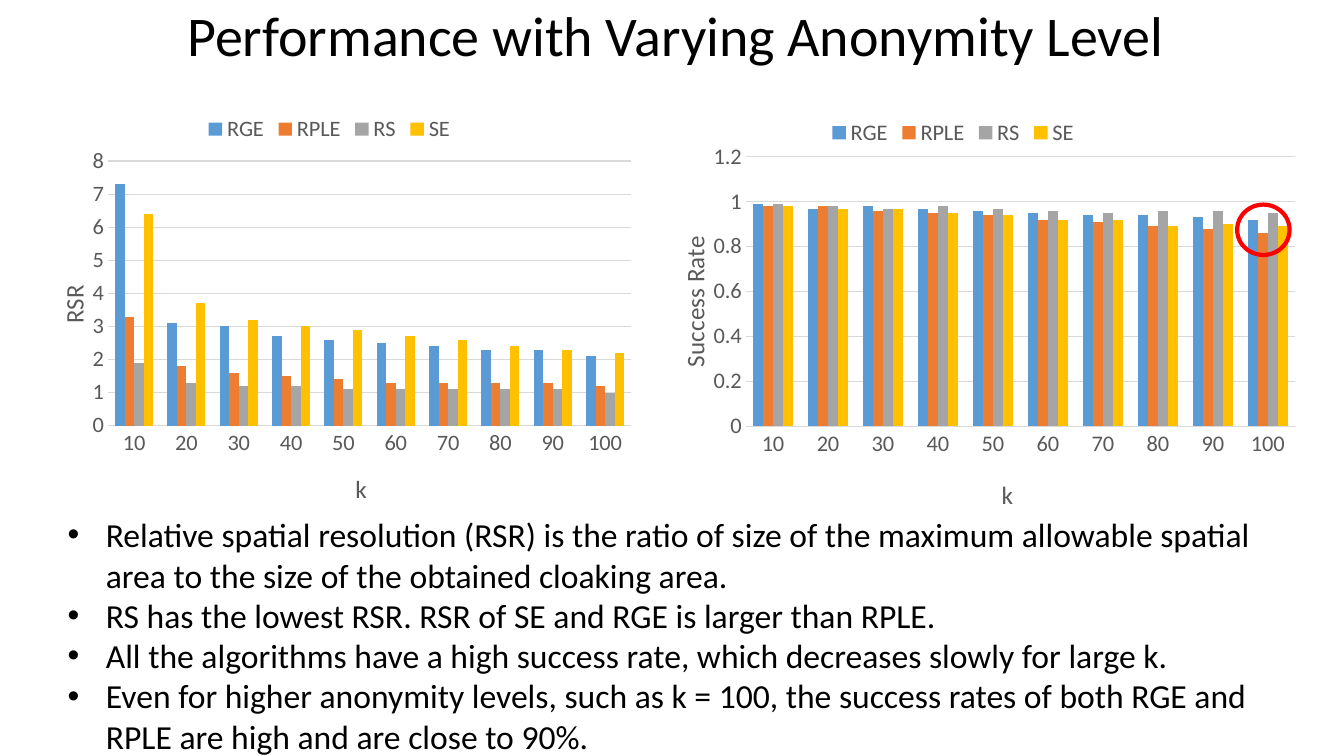
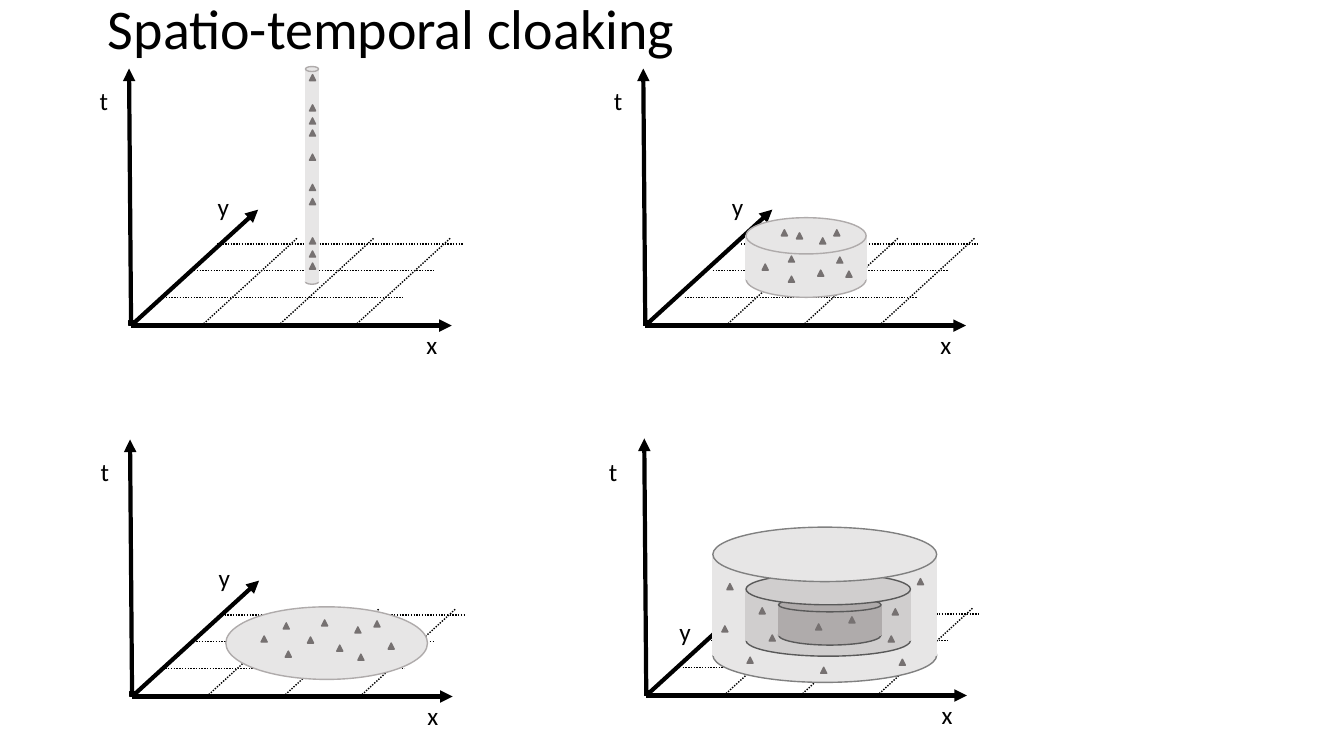
from dataclasses import dataclass

from lxml.etree import SubElement
from pptx import Presentation
from pptx.chart.data import CategoryChartData
from pptx.dml.color import RGBColor
from pptx.enum.chart import XL_CHART_TYPE, XL_LEGEND_POSITION, XL_TICK_MARK
from pptx.enum.dml import MSO_LINE
from pptx.enum.shapes import MSO_CONNECTOR, MSO_SHAPE
from pptx.enum.text import MSO_ANCHOR, MSO_AUTO_SIZE, PP_ALIGN
from pptx.oxml import parse_xml
from pptx.oxml.ns import nsdecls, qn
from pptx.util import Inches, Pt

# The grid: square cells, 133.3 columns by 75 rows
COLUMNS, ROWS = 133.3, 75
CELL = 0.1


def cells(count):
    return Inches(count * CELL)


@dataclass(frozen=True)
class Theme:
    font: str = "Calibri"
    ink: str = "000000"
    chart_text: str = "595959"
    rule: str = "D9D9D9"
    alert: str = "FF0000"
    marker: str = "767171"
    light: str = "E7E6E6"
    middle: str = "D0CECE"
    dark: str = "AFABAB"
    outline: str = "808080"
    inner_outline: str = "595959"
    series: tuple = ("5B9BD5", "ED7D31", "A5A5A5", "FFC000")
    title_size: float = 40
    body_size: float = 24
    label_size: float = 18
    tick_size: float = 16
    chart_size: float = 10
    thin: float = 1
    thick: float = 3
    hairline: float = 0.75


class Deck:
    """Holds the style and the current slide."""

    def __init__(self, theme):
        self.theme = theme
        self.presentation = Presentation()
        self.presentation.slide_width = cells(COLUMNS)
        self.presentation.slide_height = cells(ROWS)
        self.slide = None

    def new_slide(self, layout_name):
        layout = self.presentation.slide_layouts.get_by_name(layout_name)
        self.slide = self.presentation.slides.add_slide(layout)

    # Text
    def style_font(self, font, size, color):
        font.name, font.size, font.bold = self.theme.font, Pt(size), False
        font.color.rgb = RGBColor.from_string(color)

    def add_text(self, paragraph, text, size, color=None):
        run = paragraph.add_run()
        run.text = text
        self.style_font(run.font, size, color or self.theme.ink)

    def fit(self, shape, box):
        shape.left, shape.top, shape.width, shape.height = map(cells, box)
        shape.text_frame.auto_size = MSO_AUTO_SIZE.NONE
        shape.text_frame.word_wrap = True
        return shape.text_frame

    def title(self, text, box, alignment, anchor):
        frame = self.fit(self.slide.shapes.title, box)
        frame.vertical_anchor = anchor
        paragraph = frame.paragraphs[0]
        paragraph.alignment, paragraph.line_spacing = alignment, 0.9
        self.add_text(paragraph, text, self.theme.title_size)

    def bullets(self, items, box, indent=3.8):
        frame = self.fit(self.slide.placeholders[1], box)
        frame.vertical_anchor = MSO_ANCHOR.TOP
        for index, item in enumerate(items):
            paragraph = frame.add_paragraph() if index else frame.paragraphs[0]
            properties = paragraph._p.get_or_add_pPr()
            properties.set("marL", str(cells(indent)))
            properties.set("indent", str(-cells(indent)))
            SubElement(properties, qn("a:buFont")).set("typeface", "Arial")
            SubElement(properties, qn("a:buChar")).set("char", "•")
            paragraph.space_before = Pt(0)
            self.add_text(paragraph, item, self.theme.body_size)

    def label(self, text, left, top):
        box = self.slide.shapes.add_textbox(*map(cells, (left, top, 3, 4)))
        box.text_frame.word_wrap = False
        self.add_text(box.text_frame.paragraphs[0], text, self.theme.label_size)

    # Shapes and lines
    def shape(self, kind, box, fill, line, weight=None):
        shape = self.slide.shapes.add_shape(kind, *map(cells, box))
        shape.shadow.inherit = False
        if fill:
            shape.fill.solid()
            shape.fill.fore_color.rgb = RGBColor.from_string(fill)
        else:
            shape.fill.background()
        shape.line.color.rgb = RGBColor.from_string(line)
        shape.line.width = Pt(weight or self.theme.thin)

    def line(self, start, end, arrow=False):
        connector = self.slide.shapes.add_connector(
            MSO_CONNECTOR.STRAIGHT, *map(cells, (*start, *end)))
        line = connector.line
        line.color.rgb = RGBColor.from_string(self.theme.ink)
        line.width = Pt(self.theme.thick if arrow else self.theme.thin)
        if arrow:
            tail = SubElement(line._get_or_add_ln(), qn("a:tailEnd"))
            tail.set("type", "triangle")
        else:
            line.dash_style = MSO_LINE.ROUND_DOT
        SubElement(connector._element.spPr, qn("a:effectLst"))

    # Charts
    def lay_out(self, element, index, **places):
        """Place a chart element by shares of the chart's size."""
        previous = element.find(qn("c:layout"))
        if previous is not None:
            element.remove(previous)
        layout = parse_xml(f"<c:layout {nsdecls('c')}/>")
        manual = SubElement(layout, qn("c:manualLayout"))
        inner = {"layoutTarget": "inner"} if "w" in places else {}
        for name, value in {**inner, "xMode": "edge", "yMode": "edge", **places}.items():
            SubElement(manual, qn(f"c:{name}")).set("val", str(value))
        element.insert(index, layout)

    def axis(self, axis, title, place, rotated=False):
        theme = self.theme
        axis.major_tick_mark = axis.minor_tick_mark = XL_TICK_MARK.NONE
        self.style_font(axis.tick_labels.font, theme.tick_size, theme.chart_text)
        frame = axis.axis_title.text_frame
        self.add_text(frame.paragraphs[0], title, theme.label_size, theme.chart_text)
        if rotated:
            frame._txBody.bodyPr.set("rot", "-5400000")
            frame._txBody.bodyPr.set("vert", "horz")
        self.lay_out(axis.axis_title._element, 1, x=place[0], y=place[1])

    def column_chart(self, box, categories, series, value_title, scale, places):
        theme = self.theme
        data = CategoryChartData()
        data.categories = categories
        for name, values in series.items():
            data.add_series(name, values)
        chart = self.slide.shapes.add_chart(
            XL_CHART_TYPE.COLUMN_CLUSTERED, *map(cells, box), data).chart
        self.style_font(chart.font, theme.chart_size, theme.ink)
        chart.has_title = False

        plot = chart.plots[0]
        plot.gap_width, plot.overlap, plot.vary_by_categories = 150, 0, False
        for item, color in zip(plot.series, theme.series):
            item.format.fill.solid()
            item.format.fill.fore_color.rgb = RGBColor.from_string(color)
        x, y, width, height = places["plot"]
        self.lay_out(chart._chartSpace.chart.plotArea, 0, x=x, y=y, w=width, h=height)

        chart.has_legend = True
        chart.legend.position = XL_LEGEND_POSITION.BOTTOM
        chart.legend.include_in_layout = False
        self.style_font(chart.legend.font, theme.tick_size, theme.chart_text)
        x, y = places["legend"]
        self.lay_out(chart.legend._element, 1, x=x, y=y)

        category_axis, value_axis = chart.category_axis, chart.value_axis
        self.axis(category_axis, "k", places["category"])
        self.axis(value_axis, value_title, places["value"], rotated=True)
        value_axis.minimum_scale = 0
        value_axis.maximum_scale, value_axis.major_unit = scale
        value_axis.format.line.fill.background()
        for line in (category_axis.format.line, value_axis.major_gridlines.format.line):
            line.color.rgb = RGBColor.from_string(theme.rule)
            line.width = Pt(theme.hairline)

    # Space-time diagrams
    def axes(self, left, top, shift):
        """Draw the floor grid and the t, x and y axes from an origin."""
        for step in range(3):
            row = top - 2.8 - 2.65 * step
            self.line((left + 2.9 + shift + 2.8 * step, row), (left + 27 + 3 * step, row))
            column = left + 7 + shift + 7.6 * step
            self.line((column, top), (column + 9.5, top - 8.7))
        for across, up in ((-0.2, 25.5), (31.8, 0), (12.6, 11.5)):
            self.line((left, top), (left + across, top - up), arrow=True)
        ink = self.theme.ink
        self.shape(MSO_SHAPE.RECTANGLE, (left - 0.2, top - 0.5, 0.6, 0.5), ink, ink)

    def axis_labels(self, left, top, t=(-4.1, -24.3), y=(7.6, -13.8)):
        for text, (across, down) in (("t", t), ("x", (28.3, -0.1)), ("y", y)):
            self.label(text, left + across, top + down)

    def cylinders(self, *solids):
        """Draw nested cylinders, outermost first: walls inward, lids outward."""
        for left, lid, lid_height, base, base_height, width, fill, line in solids:
            wall_top, wall_end = lid + lid_height / 2, base + base_height / 2
            self.shape(MSO_SHAPE.OVAL, (left, base, width, base_height), fill, line)
            self.shape(MSO_SHAPE.RECTANGLE,
                       (left, wall_top, width, wall_end - wall_top), fill, fill)
        for left, lid, lid_height, _, _, width, fill, line in reversed(solids):
            self.shape(MSO_SHAPE.OVAL, (left, lid, width, lid_height), fill, line)

    def markers(self, points):
        color = self.theme.marker
        for left, top in points:
            self.shape(MSO_SHAPE.ISOSCELES_TRIANGLE, (left, top, 0.6, 0.6), color, color)


def performance_slide(deck):
    deck.new_slide("Title and Content")
    levels = [str(level) for level in range(10, 101, 10)]
    deck.column_chart((3.9, 9, 61.8, 41.8), levels, {
        "RGE": (7.3, 3.1, 3, 2.7, 2.6, 2.5, 2.4, 2.3, 2.3, 2.1),
        "RPLE": (3.3, 1.8, 1.6, 1.5, 1.4, 1.3, 1.3, 1.3, 1.3, 1.2),
        "RS": (1.9, 1.3, 1.2, 1.2, 1.1, 1.1, 1.1, 1.1, 1.1, 1),
        "SE": (6.4, 3.7, 3.2, 3, 2.9, 2.7, 2.6, 2.4, 2.3, 2.2),
    }, "RSR", (8, 1), {"plot": (0.11, 0.17, 0.84, 0.64), "legend": (0.26, 0.05),
                       "category": (0.5, 0.91), "value": (0.02, 0.46)})
    deck.column_chart((65.4, 9.3, 65.7, 42.1), levels, {
        "RGE": (0.99, 0.97, 0.98, 0.97, 0.96, 0.95, 0.94, 0.94, 0.93, 0.92),
        "RPLE": (0.98, 0.98, 0.96, 0.95, 0.94, 0.92, 0.91, 0.89, 0.88, 0.86),
        "RS": (0.99, 0.98, 0.97, 0.98, 0.97, 0.96, 0.95, 0.96, 0.96, 0.95),
        "SE": (0.98, 0.97, 0.97, 0.95, 0.94, 0.92, 0.92, 0.89, 0.9, 0.89),
    }, "Success Rate", (1.2, 0.2), {"plot": (0.13, 0.15, 0.83, 0.64), "legend": (0.25, 0.05),
                                    "category": (0.51, 0.9), "value": (0.02, 0.33)})
    deck.title("Performance with Varying Anonymity Level", (15.8, 0.9, 102.4, 6.4),
               PP_ALIGN.CENTER, MSO_ANCHOR.BOTTOM)
    deck.bullets((
        "Relative spatial resolution (RSR) is the ratio of size of the maximum allowable "
        "spatial area to the size of the obtained cloaking area.",
        "RS has the lowest RSR. RSR of SE and RGE is larger than RPLE.",
        "All the algorithms have a high success rate, which decreases slowly for large k.",
        "Even for higher anonymity levels, such as k = 100, the success rates of both RGE "
        "and RPLE are high and are close to 90%.",
    ), (5.7, 50.5, 122.2, 24.5))
    # Ring around the columns for k = 100
    deck.shape(MSO_SHAPE.OVAL, (122.7, 20.3, 5.2, 5), None, deck.theme.alert, deck.theme.thick)


def cloaking_slide(deck):
    theme = deck.theme
    deck.new_slide("Title Only")
    deck.title("Spatio-temporal cloaking", (9.7, -0.1, 102.4, 6.4),
               PP_ALIGN.LEFT, MSO_ANCHOR.MIDDLE)

    # Top left: one place over a long time
    deck.axes(13, 32.3, 0)
    deck.cylinders((30.3, 6.6, 0.5, 27.7, 0.5, 1.3, theme.light, theme.dark))
    deck.markers((30.7, top) for top in
                 (7.4, 10.4, 11.7, 12.9, 15.3, 18.3, 19.7, 23.6, 24.9, 26.1))
    deck.axis_labels(13, 32.3)

    # Top right: a medium area over a medium time
    deck.axes(64, 32.3, 1)
    deck.cylinders((74, 21.6, 3.6, 25.9, 3.6, 11.9, theme.light, theme.dark))
    deck.markers(((75.6, 26.2), (77.5, 22.8), (78.2, 27.4), (78.2, 25.4), (79, 23.1),
                  (83.9, 26.9), (81.1, 26.8), (81.3, 23.6), (82.7, 22.8), (83, 25.5)))
    deck.axis_labels(64, 32.3)

    # Bottom left: a wide area at one moment
    deck.axes(13.1, 69.1, 0.4)
    deck.shape(MSO_SHAPE.OVAL, (22.4, 60.2, 20, 7.2), theme.light, theme.dark)
    deck.markers(((25.9, 63.1), (28.1, 61.8), (28.3, 64.6), (30.5, 63.2), (31.9, 61.5),
                  (35.2, 62.2), (33.4, 64), (37.1, 61.6), (38.5, 63.8), (35.5, 64.9)))
    deck.axis_labels(13.1, 69.1)

    # Bottom right: nested areas and times
    deck.axes(64.1, 69, 0.7)
    deck.cylinders(
        (70.7, 52.3, 5.4, 62.3, 5.4, 22.2, theme.light, theme.outline),
        (74, 56.9, 3.1, 62, 3.1, 16.3, theme.middle, theme.inner_outline),
        (77.2, 59.3, 1.4, 62, 2, 10.2, theme.dark, theme.inner_outline))
    deck.markers(((72.1, 57.9), (91, 57.4), (88.5, 60.4), (80.9, 61.9), (75.3, 60.3),
                  (89.2, 65.4), (88.1, 63.1), (84.2, 61.2), (74.1, 65.2), (76.3, 63),
                  (71.6, 62.1), (81.4, 66.2)))
    deck.axis_labels(64.1, 69, t=(-4.7, -24.2), y=(2.3, -8.3))


def main():
    deck = Deck(Theme())
    performance_slide(deck)
    cloaking_slide(deck)
    deck.presentation.save("out.pptx")


if __name__ == "__main__":
    main()
